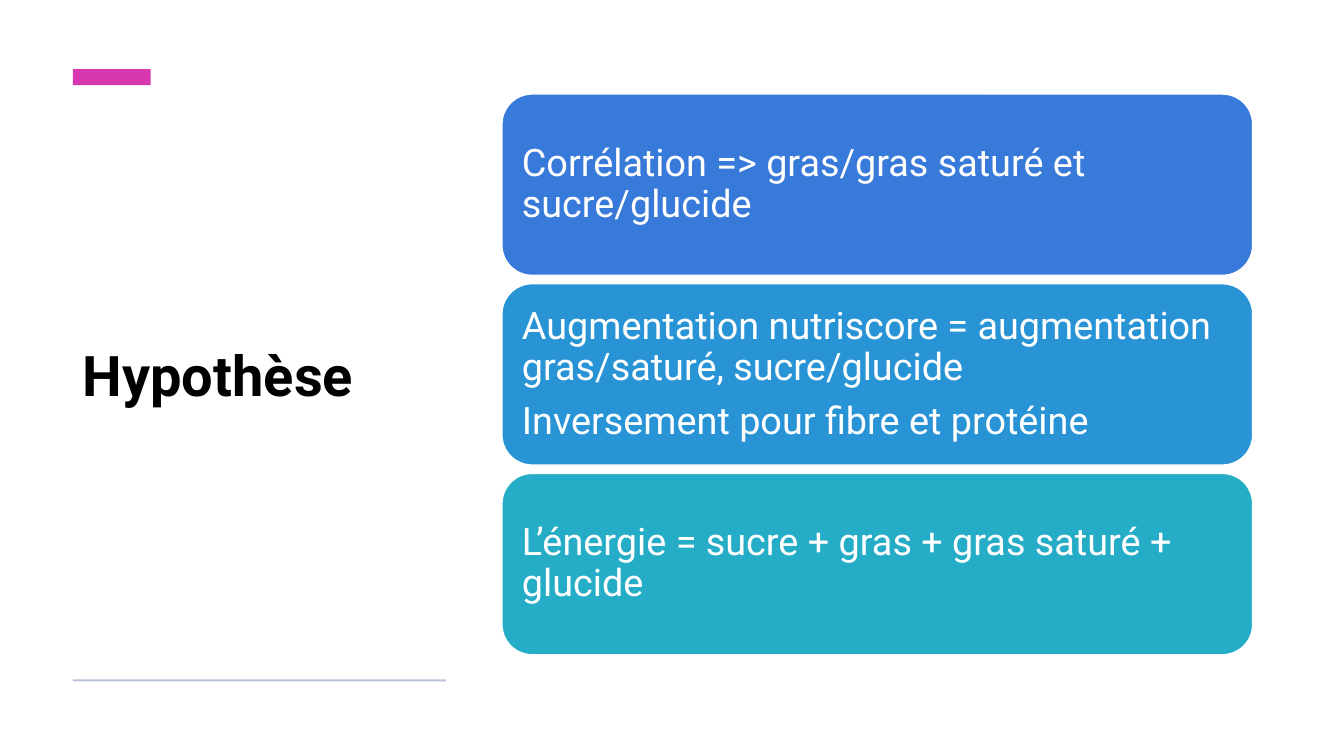
import pptx
import pptx.dml.color
import pptx.enum.shapes
import pptx.enum.text
import pptx.util
from dataclasses import dataclass

Cm = pptx.util.Cm
Pt = pptx.util.Pt
MSO_SHAPE = pptx.enum.shapes.MSO_SHAPE


@dataclass(frozen=True)
class Theme:
    font: str = "Roboto"
    title_size: int = 40
    card_size: int = 27
    black: str = "000000"
    white: str = "FFFFFF"
    accent: str = "D937B0"
    rule: str = "B9C2D8"
    cards: tuple = ("377AD9", "2894D6", "25ACC7")


theme = Theme()


def add_block(kind, left, top, width, height, color):
    shape = slide.shapes.add_shape(kind, Cm(left), Cm(top), Cm(width), Cm(height))
    shape.shadow.inherit = False
    shape.fill.solid()
    shape.fill.fore_color.rgb = pptx.dml.color.RGBColor.from_string(color)
    shape.line.fill.background()
    return shape


def add_text(paragraph, text, size, color, bold=False):
    paragraph.alignment = pptx.enum.text.PP_ALIGN.LEFT
    paragraph.line_spacing = 0.9
    run = paragraph.add_run()
    run.text = text
    run.font.name = theme.font
    run.font.size = Pt(size)
    run.font.bold = bold
    run.font.color.rgb = pptx.dml.color.RGBColor.from_string(color)


presentation = pptx.Presentation()
presentation.slide_width = Cm(33.87)
presentation.slide_height = Cm(19.05)
slide = presentation.slides.add_slide(presentation.slide_layouts[6])

# Title column: accent bar, title, bottom rule
column_left, column_width = 1.84, 9.4
add_block(MSO_SHAPE.RECTANGLE, column_left, 1.74, 1.96, 0.41, theme.accent)
add_block(MSO_SHAPE.RECTANGLE, column_left, 17.12, column_width, 0.05, theme.rule)
title = slide.shapes.add_textbox(Cm(column_left), Cm(2.67), Cm(column_width), Cm(13.74))
title.text_frame.word_wrap = True
title.text_frame.vertical_anchor = pptx.enum.text.MSO_ANCHOR.MIDDLE
add_text(title.text_frame.paragraphs[0], "Hypothèse", theme.title_size, theme.black, bold=True)

# Hypothesis cards, stacked at an equal pitch
hypotheses = [
    ["Corrélation => gras/gras saturé et sucre/glucide"],
    ["Augmentation nutriscore = augmentation gras/saturé, sucre/glucide",
     "Inversement pour fibre et protéine"],
    ["L’énergie = sucre + gras + gras saturé + glucide"],
]
card_top, card_height, card_pitch = 2.37, 4.57, 4.78

for index, (lines, color) in enumerate(zip(hypotheses, theme.cards)):
    card = add_block(MSO_SHAPE.ROUNDED_RECTANGLE, 12.65, card_top + index * card_pitch,
                     18.92, card_height, color)
    card.line.color.rgb = pptx.dml.color.RGBColor.from_string(theme.white)
    card.line.width = Pt(1)
    frame = card.text_frame
    frame.word_wrap = True
    frame.vertical_anchor = pptx.enum.text.MSO_ANCHOR.MIDDLE
    frame.margin_left = frame.margin_right = Cm(0.28)
    frame.margin_top = frame.margin_bottom = Cm(0.28)
    for number, line in enumerate(lines):
        paragraph = frame.add_paragraph() if number else frame.paragraphs[0]
        paragraph.space_after = Pt(9.4)
        add_text(paragraph, line, theme.card_size, theme.white)

presentation.save("out.pptx")
